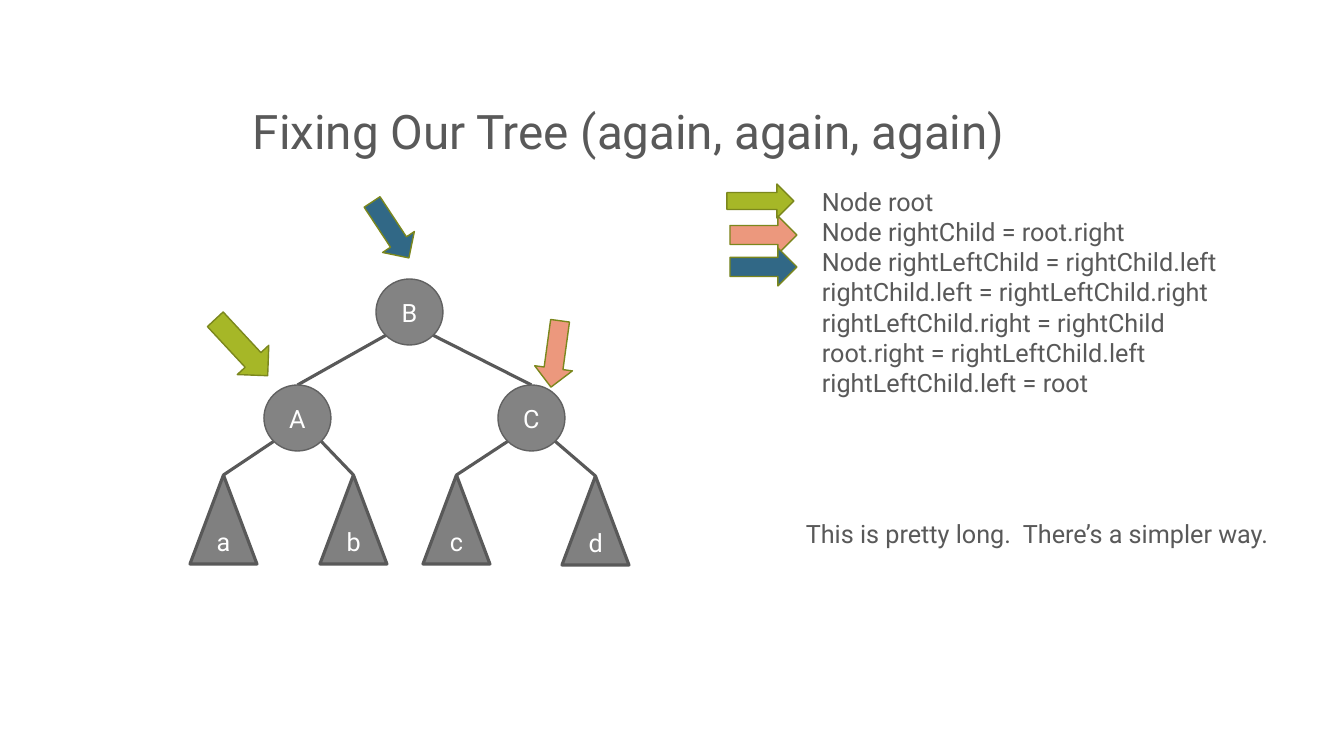
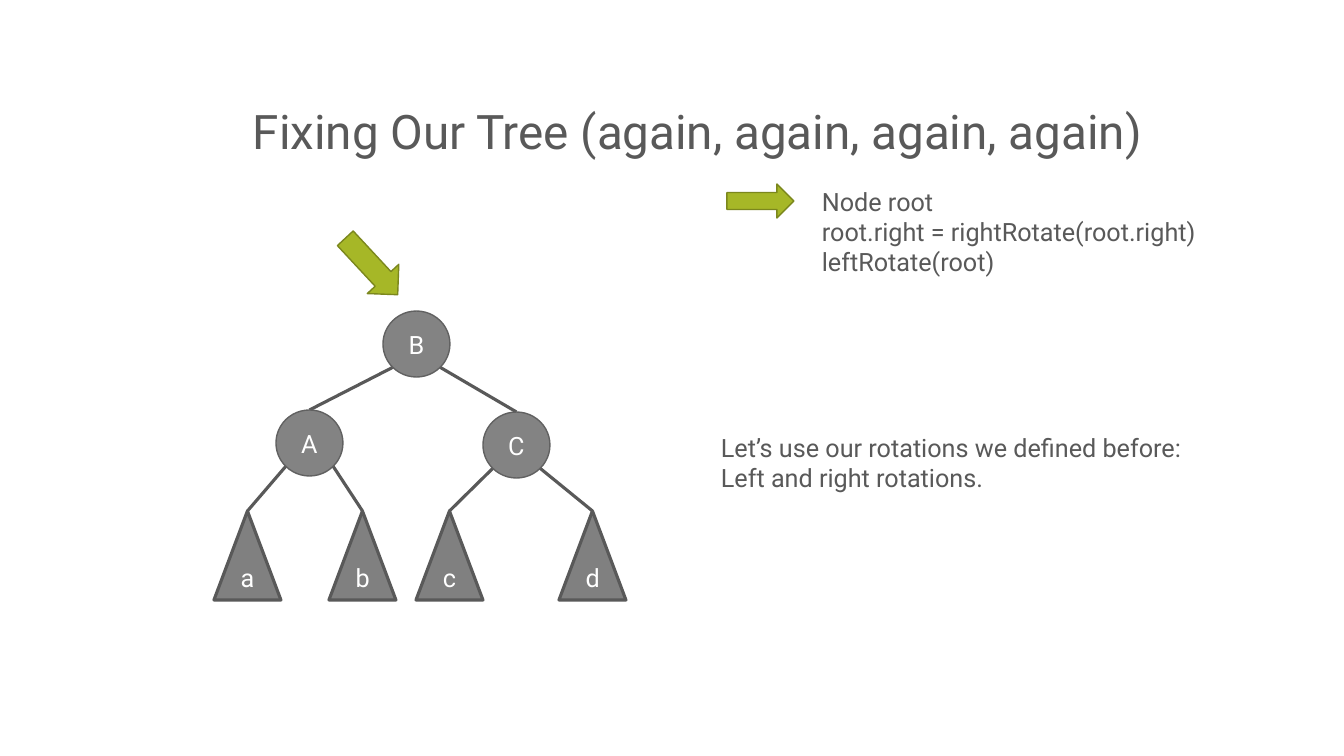
from math import sqrt
from pptx import Presentation
from pptx.dml.color import RGBColor
from pptx.enum.shapes import MSO_CONNECTOR, MSO_SHAPE
from pptx.enum.text import MSO_ANCHOR, MSO_AUTO_SIZE, PP_ALIGN
from pptx.oxml.ns import qn
from pptx.util import Pt
from lxml import etree

PX = 914400 / 100.8
FONT = "Roboto"
DARK = RGBColor(0x59, 0x59, 0x59)
WHITE = RGBColor(0xFF, 0xFF, 0xFF)
DISC = RGBColor(0x83, 0x83, 0x83)
RING = RGBColor(0x61, 0x61, 0x61)
LEAF = RGBColor(0x80, 0x80, 0x80)
GREEN = RGBColor(0xA6, 0xB7, 0x27)
OLIVE = RGBColor(0x7B, 0x87, 0x1D)
CORAL = RGBColor(0xEC, 0x98, 0x7D)
BLUE = RGBColor(0x31, 0x68, 0x86)

TITLE = (243, 33, 1033, 132)
NODE = (67, 66)
TREE = (67, 89)
KEY = (727, 184, 67, 34, 0, GREEN)
LINKS = ("BA", "BC", "Aa", "Ab", "Cc", "Cd")

SLIDES = [
    {
        "title": "Fixing Our Tree (again, again, again)",
        "nodes": {"A": (264, 385), "B": (376, 279), "C": (498, 385)},
        "trees": {"a": (190, 475), "b": (320, 475), "c": (423, 475), "d": (562, 476)},
        "arrows": [
            (203, 326, 77, 43, 47.1, GREEN),
            KEY,
            (730, 216, 67, 38, 0, CORAL),
            (522, 335, 67, 38, 97.8, CORAL),
            (730, 248, 67, 38, 0, BLUE),
            (357, 211, 67, 38, 56.6, BLUE),
        ],
        "texts": [
            ((812, 181, 478, 224), [
                "Node root",
                "Node rightChild = root.right",
                "Node rightLeftChild = rightChild.left",
                "rightChild.left = rightLeftChild.right",
                "rightLeftChild.right = rightChild",
                "root.right = rightLeftChild.left",
                "rightLeftChild.left = root",
            ]),
            ((796, 513, 512, 40), ["This is pretty long.  There’s a simpler way."]),
        ],
    },
    {
        "title": "Fixing Our Tree (again, again, again, again)",
        "nodes": {"A": (276, 410), "B": (383, 311), "C": (483, 412)},
        "trees": {"a": (214, 511), "b": (329, 511), "c": (416, 511), "d": (559, 511)},
        "arrows": [(333, 245, 77, 43, 47.1, GREEN), KEY],
        "texts": [
            ((812, 181, 472, 132), [
                "Node root",
                "root.right = rightRotate(root.right)",
                "leftRotate(root)",
            ]),
            ((711, 427, 500, 72), [
                "Let’s use our rotations we defined before:",
                "Left and right rotations.",
            ]),
        ],
    },
]


def emu(*sizes):
    return [round(size * PX) for size in sizes]


def style(para, size, color):
    for run in para.runs:
        run.font.name = FONT
        run.font.size = Pt(size)
        run.font.color.rgb = color


def write(slide, box, lines, size=18):
    shape = slide.shapes.add_textbox(*emu(*box))
    frame = shape.text_frame
    frame.word_wrap = True
    frame.text = "\n".join(lines)
    for para in frame.paragraphs:
        style(para, size, DARK)
    return frame


def draw(slide, kind, box, fill, line, width, label=""):
    shape = slide.shapes.add_shape(kind, *emu(*box))
    shape.shadow.inherit = False
    shape.fill.solid()
    shape.fill.fore_color.rgb = fill
    shape.line.color.rgb = line
    shape.line.width = Pt(width)
    if label:
        para = shape.text_frame.paragraphs[0]
        para.text = label
        para.alignment = PP_ALIGN.CENTER
        style(para, 18, WHITE)
    return shape


def link(slide, start, end):
    line = slide.shapes.add_connector(MSO_CONNECTOR.STRAIGHT, *emu(*start, *end))
    line.line.color.rgb = DARK
    line.line.width = Pt(2.25)
    etree.SubElement(line.element.spPr, qn("a:effectLst"))


def join(slide, top, low):
    wide, high = NODE
    side = 1 if low[0] > top[0] else -1
    start = (top[0] + wide / 2 + side * wide / sqrt(8),
             top[1] + high / 2 + high / sqrt(8))
    link(slide, start, (low[0] + wide / 2, low[1]))


def build(slide, page):
    frame = write(slide, TITLE, [page["title"]], 34)
    frame.vertical_anchor = MSO_ANCHOR.BOTTOM
    frame.paragraphs[0].line_spacing = 0.9
    spots = {**page["nodes"], **page["trees"]}
    for top, low in LINKS:
        join(slide, spots[top], spots[low])
    for name, spot in page["nodes"].items():
        draw(slide, MSO_SHAPE.OVAL, spot + NODE, DISC, RING, 1, name)
    for name, spot in page["trees"].items():
        draw(slide, MSO_SHAPE.ISOSCELES_TRIANGLE, spot + TREE, LEAF, DARK, 2.25, name)
    for *box, turn, color in page["arrows"]:
        arrow = draw(slide, MSO_SHAPE.RIGHT_ARROW, box, color, OLIVE, 1)
        arrow.rotation = turn
    for box, lines in page["texts"]:
        write(slide, box, lines).auto_size = MSO_AUTO_SIZE.SHAPE_TO_FIT_TEXT


deck = Presentation()
deck.slide_width, deck.slide_height = emu(1344, 756)
for page in SLIDES:
    build(deck.slides.add_slide(deck.slide_layouts[6]), page)
deck.save("out.pptx")
